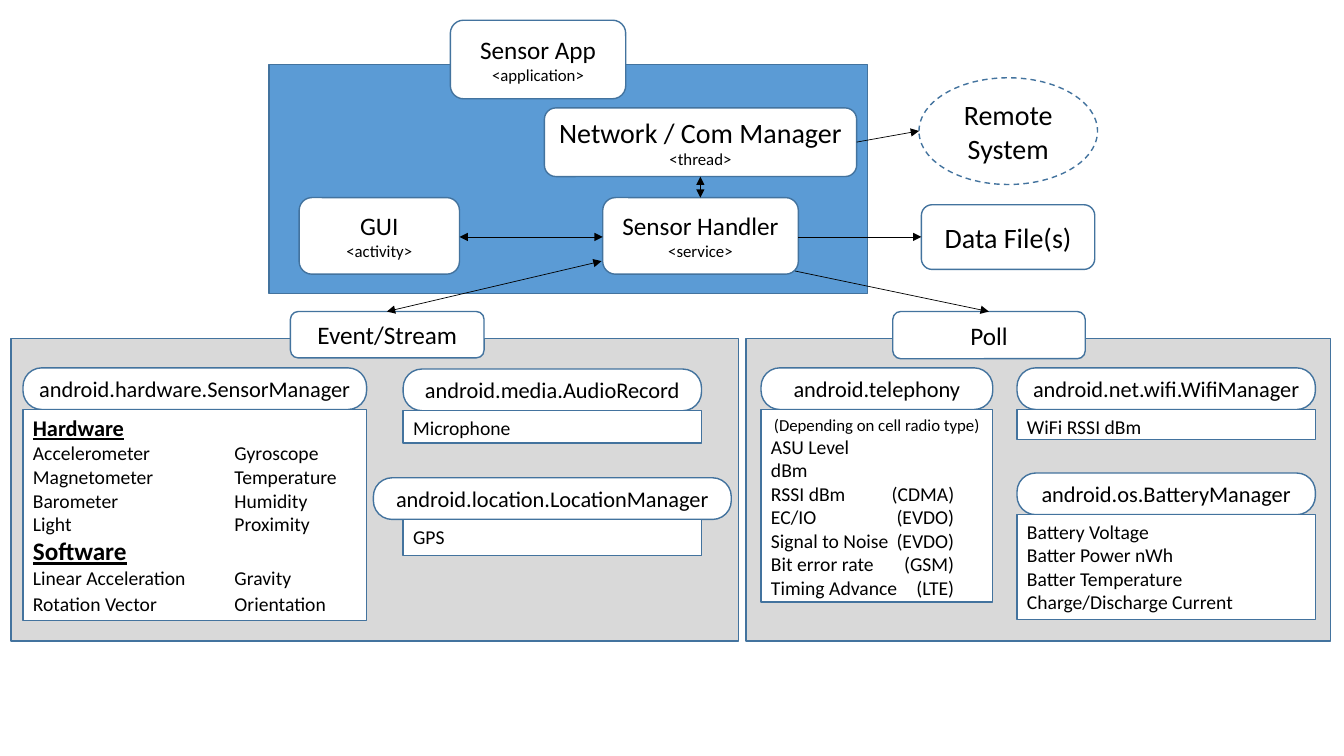
from lxml import etree
from pptx import Presentation
from pptx.dml.color import RGBColor
from pptx.enum.dml import MSO_LINE
from pptx.enum.shapes import MSO_CONNECTOR, MSO_SHAPE
from pptx.enum.text import MSO_ANCHOR, PP_ALIGN
from pptx.oxml.ns import qn
from pptx.util import Cm, Pt

RECT, ROUND, OVAL = MSO_SHAPE.RECTANGLE, MSO_SHAPE.ROUNDED_RECTANGLE, MSO_SHAPE.OVAL
STRAIGHT, DASH = MSO_CONNECTOR.STRAIGHT, MSO_LINE.DASH
LEFT, CENTER = PP_ALIGN.LEFT, PP_ALIGN.CENTER
TOP, MIDDLE = MSO_ANCHOR.TOP, MSO_ANCHOR.MIDDLE

WHITE, BLACK, GRAY, BLUE, EDGE = "FFFFFF", "000000", "D9D9D9", "5B9BD5", "43739E"
PILL = 1.05

BODY = {"size": Pt(14)}
NOTE = {"size": Pt(12)}
MID = {"size": Pt(18)}
BIG = {"size": Pt(20)}
CAP = {"size": Pt(16)}
HEAD = {"size": Pt(16), "bold": True, "underline": True}
HEAD_BIG = {**HEAD, "size": Pt(18)}


def paint(fill, color):
    fill.solid()
    fill.fore_color.rgb = RGBColor.from_string(color)


def assign(item, values):
    for name, value in values.items():
        setattr(item, name, value)


def add_box(slide, kind, place, color=WHITE):
    box = slide.shapes.add_shape(kind, *[Cm(n) for n in place])
    box.shadow.inherit = False
    paint(box.fill, color)
    paint(box.line.fill, EDGE)
    box.line.width = Pt(1)
    return box


def add_tab(para, stop, side):
    tabs = etree.SubElement(para._p.get_or_add_pPr(), qn("a:tabLst"))
    etree.SubElement(tabs, qn("a:tab"), pos=str(Cm(stop)), algn=side)


def write(box, lines, align, anchor, wrap, tab=None):
    frame = box.text_frame
    assign(frame, {"word_wrap": wrap, "vertical_anchor": anchor})
    for i, (text, font, *extra) in enumerate(lines):
        para = frame.add_paragraph() if i else frame.paragraphs[0]
        para.alignment = align
        for values in extra:
            assign(para, values)
        if tab and "\t" in text:
            add_tab(para, *tab)
        run = para.add_run()
        run.text = text
        assign(run.font, {"name": "Calibri", **font})
        paint(run.font.fill, BLACK)


def add_node(slide, place, lines, kind=ROUND):
    box = add_box(slide, kind, place)
    write(box, lines, CENTER, MIDDLE, False)
    return box


def add_card(slide, x, y, w, h, title, lines, pad=0, tab=None):
    pill = add_node(slide, (x - pad, y, w + 2 * pad, PILL), [(title, CAP)])
    pill.adjustments[0] = 0.45
    body = add_box(slide, RECT, (x, y + PILL, w, h))
    write(body, lines, LEFT, TOP, True, tab)


def add_arrow(slide, start, end, both=False):
    link = slide.shapes.add_connector(STRAIGHT, *[Cm(n) for n in start + end])
    paint(link.line.fill, BLACK)
    link.line.width = Pt(0.5)
    line = link.line._get_or_add_ln()
    for name in ("headEnd", "tailEnd") if both else ("tailEnd",):
        etree.SubElement(line, qn("a:" + name), type="triangle")
    etree.SubElement(link._element.spPr, qn("a:effectLst"))


def body_lines(*texts):
    return [(text, BODY) for text in texts]


def draw_app(slide):
    add_box(slide, RECT, (6.78, 1.63, 15.09, 5.77), BLUE)
    nodes = (
        ((11.35, 0.51, 4.42, 1.98), "Sensor App", MID, "<application>"),
        ((7.54, 4.98, 4.04, 1.93), "GUI", MID, "<activity>"),
        ((15.19, 4.98, 4.93, 1.93), "Sensor Handler", MID, "<service>"),
        ((13.72, 2.72, 7.87, 1.73), "Network / Com Manager", BIG, "<thread>"),
    )
    for place, title, font, role in nodes:
        add_node(slide, place, [(title, font), (role, NOTE)])
    add_node(slide, (23.22, 5.16, 4.37, 1.63), [("Data File(s)", BIG)])
    remote = add_node(slide, (23.16, 1.96, 4.5, 2.69),
                      [("Remote", BIG), ("System", BIG)], OVAL)
    remote.line.dash_style = DASH


def draw_event(slide):
    add_box(slide, RECT, (0.28, 8.53, 18.34, 7.62), GRAY)
    add_node(slide, (7.32, 7.85, 4.88, 1.17), [("Event/Stream", MID)])
    sensors = [
        ("Hardware", HEAD),
        *body_lines("Accelerometer\tGyroscope", "Magnetometer\tTemperature",
                    "Barometer\tHumidity", "Light\tProximity"),
        ("Software", HEAD_BIG),
        *body_lines("Linear Acceleration\tGravity"),
        ("Rotation Vector\tOrientation", BODY, {"space_before": Pt(2)}),
    ]
    add_card(slide, 0.58, 9.27, 8.66, 5.31, "android.hardware.SensorManager",
             sensors, tab=(5.08, "l"))
    add_card(slide, 10.16, 9.3, 7.52, 0.81, "android.media.AudioRecord",
             body_lines("Microphone"))
    add_card(slide, 10.16, 12.04, 7.52, 0.91, "android.location.LocationManager",
             body_lines("GPS"), pad=0.75)


def draw_poll(slide):
    add_box(slide, RECT, (18.8, 8.53, 14.73, 7.62), GRAY)
    add_node(slide, (22.5, 7.85, 4.85, 1.19), [("Poll", MID)])
    radio = [
        ("(Depending on cell radio type)", NOTE, {"alignment": CENTER}),
        *body_lines("ASU Level", "dBm", "RSSI dBm\t(CDMA)", "EC/IO\t(EVDO)",
                    "Signal to Noise\t(EVDO)", "Bit error rate\t(GSM)",
                    "Timing Advance\t(LTE)"),
    ]
    add_card(slide, 19.18, 9.27, 5.84, 4.85, "android.telephony", radio,
             tab=(4.62, "r"))
    add_card(slide, 25.63, 9.27, 7.52, 0.76, "android.net.wifi.WifiManager",
             body_lines("WiFi RSSI dBm"))
    add_card(slide, 25.63, 11.92, 7.52, 2.64, "android.os.BatteryManager",
             body_lines("Battery Voltage", "Batter Power nWh",
                        "Batter Temperature", "Charge/Discharge Current"))


def draw_links(slide):
    add_arrow(slide, (15.19, 5.97), (11.58, 5.97), True)
    add_arrow(slide, (17.65, 4.98), (17.65, 4.45), True)
    add_arrow(slide, (15.16, 6.58), (9.75, 7.85), True)
    add_arrow(slide, (20.12, 5.97), (23.22, 5.97))
    add_arrow(slide, (21.59, 3.58), (23.16, 3.3))
    add_arrow(slide, (20.04, 6.83), (24.92, 7.85))


def main():
    deck = Presentation()
    assign(deck, {"slide_width": Cm(33.87), "slide_height": Cm(19.05)})
    slide = deck.slides.add_slide(deck.slide_layouts[6])
    for draw in (draw_app, draw_event, draw_poll, draw_links):
        draw(slide)
    deck.save("out.pptx")


if __name__ == "__main__":
    main()
